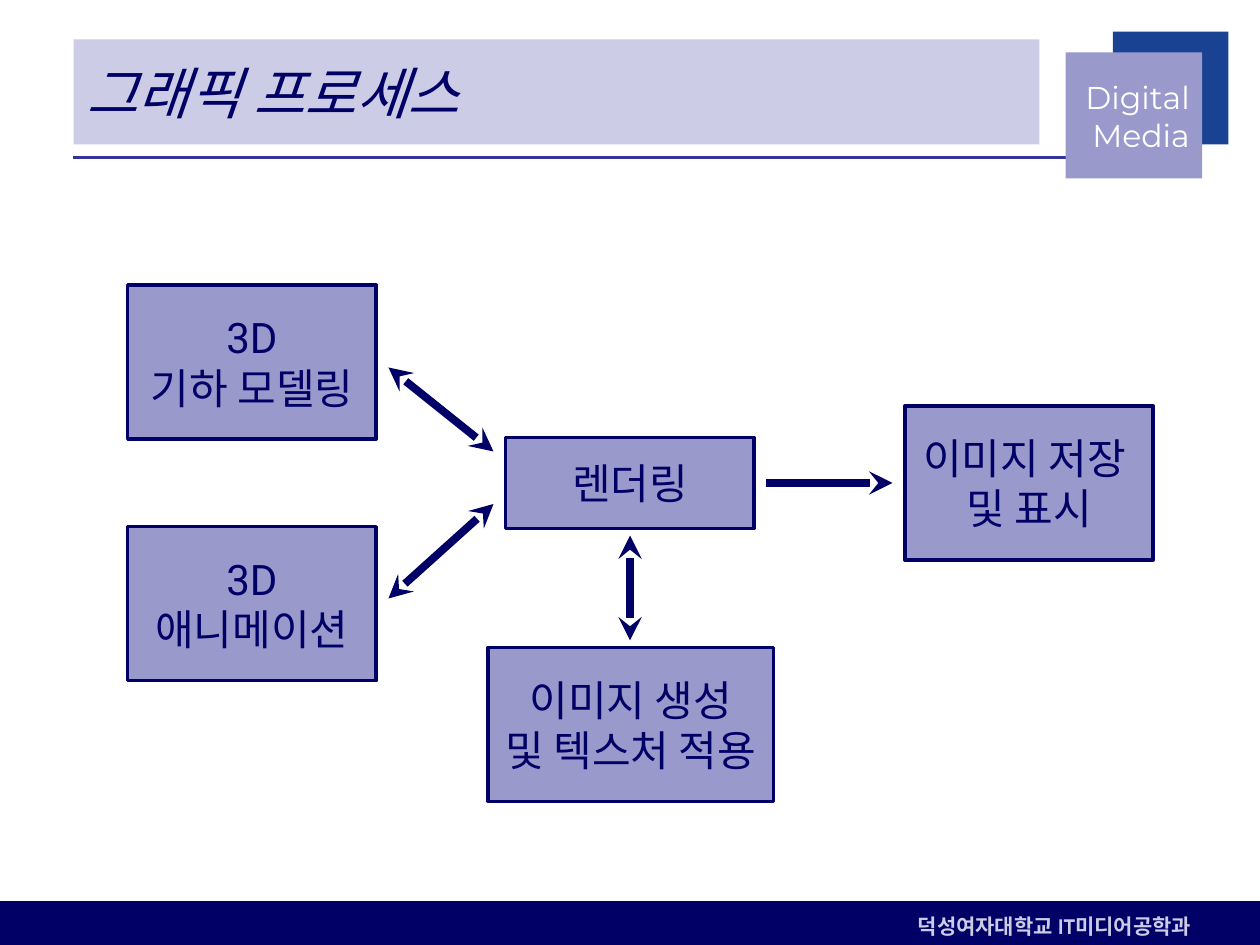
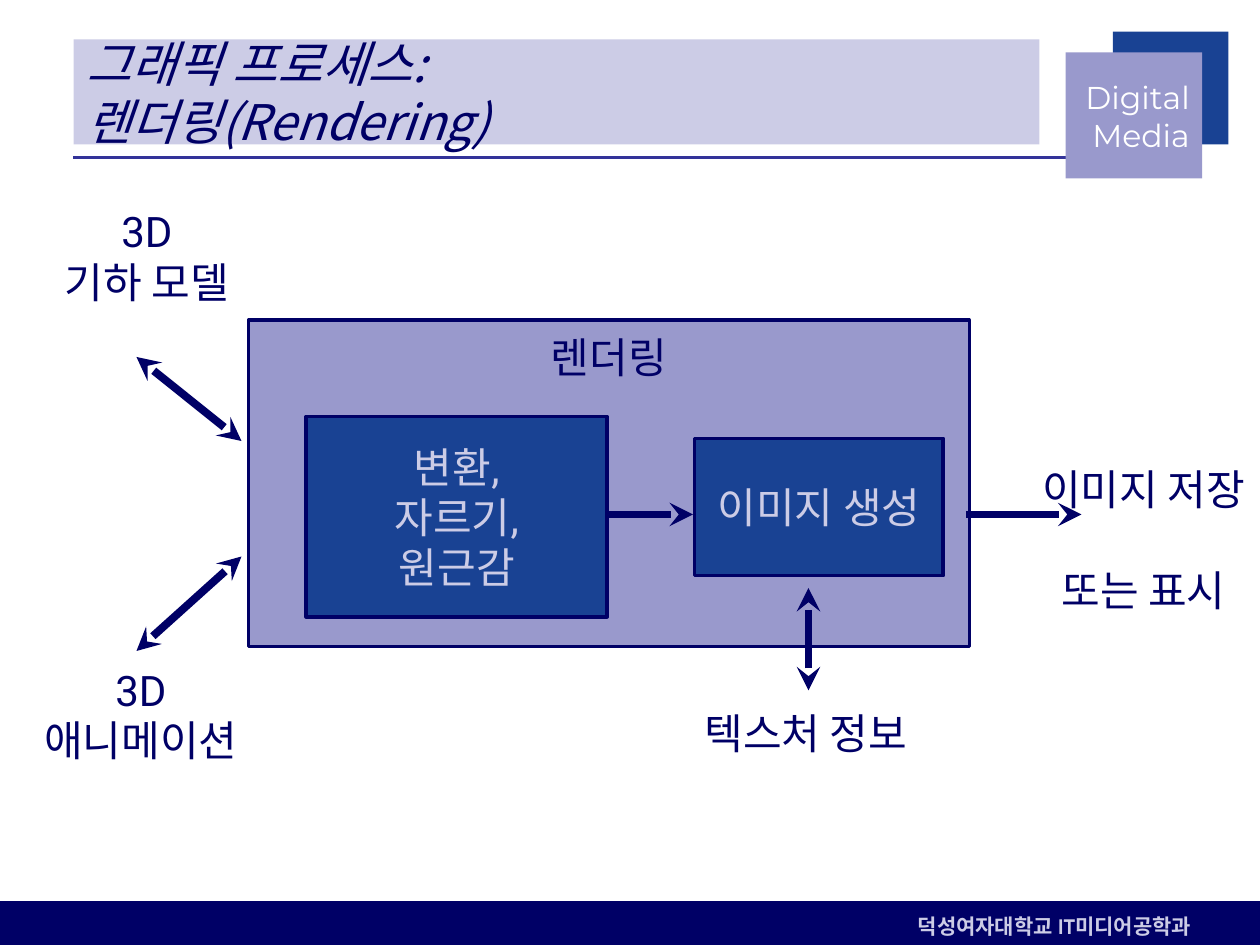
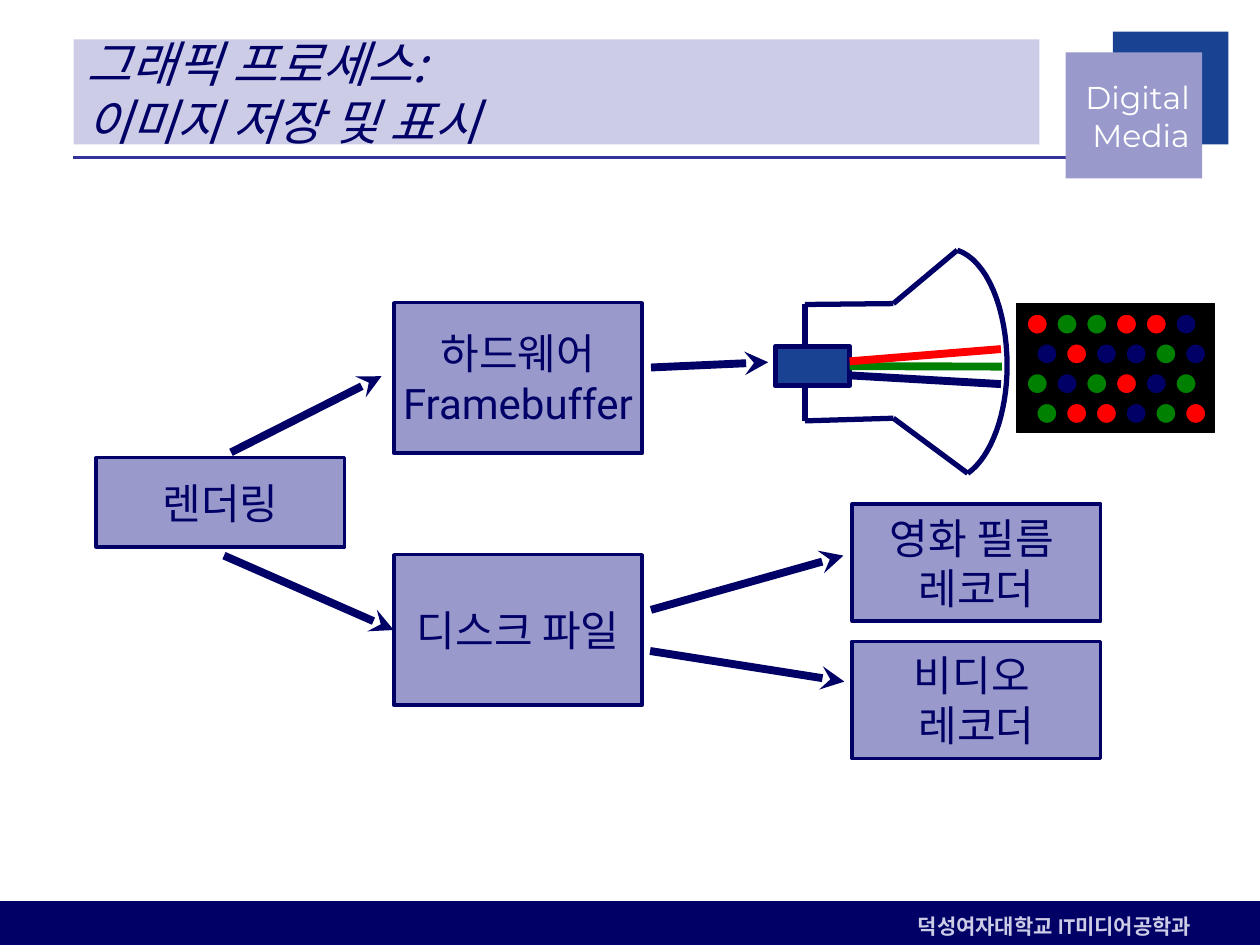
from dataclasses import dataclass
from typing import Any

from lxml import etree
from pptx import Presentation
from pptx.dml.color import RGBColor
from pptx.enum import shapes, text
from pptx.oxml import ns
from pptx.util import Pt

NAVY = RGBColor(0x00, 0x00, 0x66)
INDIGO = RGBColor(0x33, 0x33, 0x99)
BLUE = RGBColor(0x19, 0x42, 0x93)
LAVENDER = RGBColor(0x99, 0x99, 0xCC)
PALE = RGBColor(0xCC, 0xCC, 0xE6)
WHITE = RGBColor(0xFF, 0xFF, 0xFF)
BLACK = RGBColor(0x00, 0x00, 0x00)
RED = RGBColor(0xFF, 0x00, 0x00)
GREEN = RGBColor(0x00, 0x80, 0x00)

BODY_FONT = "Roboto"
KOREAN_FONT = "Noto Sans CJK KR"
LINE_PITCH = 1.2
RECT, OVAL = shapes.MSO_SHAPE.RECTANGLE, shapes.MSO_SHAPE.OVAL
LEFT, CENTER, RIGHT = text.PP_ALIGN.LEFT, text.PP_ALIGN.CENTER, text.PP_ALIGN.RIGHT
TOP, MIDDLE = text.MSO_ANCHOR.TOP, text.MSO_ANCHOR.MIDDLE


def write(frame, paragraphs, size=24, color=NAVY, font=BODY_FONT, align=CENTER,
          anchor=MIDDLE, wrap=False, gap=0, bold=None, italic=None):
    """Fill a text frame; a newline inside a paragraph is a line break."""
    frame.auto_size = text.MSO_AUTO_SIZE.NONE
    frame.word_wrap = wrap
    frame.vertical_anchor = anchor
    for number, content in enumerate(paragraphs):
        para = frame.add_paragraph() if number else frame.paragraphs[0]
        para.alignment = align
        para.line_spacing = Pt(round(size * LINE_PITCH, 2))
        if number and gap:
            para.space_before = Pt(gap)
        for row, line in enumerate(content.split("\n")):
            if row:
                para.add_line_break()
            span = para.add_run()
            span.text = line
            span.font.size = Pt(size)
            span.font.bold, span.font.italic = bold, italic
            span.font.color.rgb = color
            span.font.name = font
            east_asian = etree.SubElement(span._r.get_or_add_rPr(), ns.qn("a:ea"))
            east_asian.set("typeface", KOREAN_FONT)


@dataclass
class Region:
    """Part of a page; everything in it is placed from its top left corner."""
    page: Any
    left: float = 0
    top: float = 0

    def point(self, x, y):
        return Pt(self.left + x), Pt(self.top + y)

    def shape(self, x, y, width, height, fill, line=None, weight=2, kind=RECT):
        box = self.page.shapes.add_shape(kind, *self.point(x, y), Pt(width), Pt(height))
        box.shadow.inherit = False
        box.fill.solid()
        box.fill.fore_color.rgb = fill
        if line is None:
            box.line.fill.background()
        else:
            box.line.color.rgb = line
            box.line.width = Pt(weight)
        return box

    def node(self, x, y, width, height, *paragraphs, fill=LAVENDER, color=NAVY, anchor=MIDDLE):
        box = self.shape(x, y, width, height, fill, NAVY)
        write(box.text_frame, paragraphs, color=color, anchor=anchor)
        return box

    def label(self, x, y, width, height, *paragraphs, **style):
        box = self.page.shapes.add_textbox(*self.point(x, y), Pt(width), Pt(height))
        write(box.text_frame, paragraphs, **{"anchor": TOP, **style})

    def line(self, start, end, color=NAVY, weight=4.5):
        link = self.page.shapes.add_connector(
            shapes.MSO_CONNECTOR.STRAIGHT, *self.point(*start), *self.point(*end))
        link.line.color.rgb = color
        link.line.width = Pt(weight)
        etree.SubElement(link._element.spPr, ns.qn("a:effectLst"))
        return link

    def arrow(self, start, end, both=False):
        link = self.line(start, end)
        outline = link.line._get_or_add_ln()
        for tag in ("a:headEnd", "a:tailEnd") if both else ("a:tailEnd",):
            etree.SubElement(outline, ns.qn(tag)).set("type", "stealth")
        return link


def add_page(deck, title, title_size):
    """Title-only page with the shared bands, emblem and footer."""
    page = deck.slides.add_slide(deck.slide_layouts[5])
    frame = Region(page)

    # Title band
    heading = page.shapes.title
    heading.left, heading.top, heading.width, heading.height = Pt(42), Pt(22.5), Pt(552), Pt(60)
    heading.fill.solid()
    heading.fill.fore_color.rgb = PALE
    write(heading.text_frame, [title], title_size, font=KOREAN_FONT, align=LEFT,
          wrap=True, italic=True)
    frame.line((42, 90), (612, 90), INDIGO, 2.25)

    # Emblem
    frame.shape(636, 18, 66, 64.5, BLUE)
    frame.shape(609, 30, 78, 72, LAVENDER)
    frame.label(606, 42, 81, 48, "Digital\nMedia", size=18, color=WHITE,
                font="Montserrat", align=RIGHT, anchor=MIDDLE)

    # Footer
    frame.shape(0, 515, 720, 25, NAVY)
    credit = frame.shape(498, 518.5, 222, 21.5, NAVY)
    write(credit.text_frame, ["덕성여자대학교 IT미디어공학과"], 12, PALE, "Cabin", LEFT, bold=True)
    credit.text_frame.margin_left = Pt(26.5)
    return page


def draw_process(region):
    """Overview of the graphics process."""
    region.node(0, 0, 142, 88, "3D", "기하 모델링")
    region.node(0, 138, 142, 88, "3D", "애니메이션")
    region.node(216, 87, 142, 52, "렌더링")
    region.node(444, 69, 142, 88, "이미지 저장 \n및 표시")
    region.node(206, 207, 163, 88, "이미지 생성\n및 텍스처 적용")
    region.arrow((149, 47), (209, 95), both=True)
    region.arrow((149, 179), (209, 125), both=True)
    region.arrow((365, 113), (437, 113))
    region.arrow((287, 143), (287, 203), both=True)


def draw_rendering(region):
    """Steps inside rendering, with inputs and outputs around them."""
    rendering = region.node(130, 69, 412, 186.5, "렌더링", anchor=TOP)
    rendering.text_frame.margin_top = Pt(6.5)
    region.node(163, 124, 172, 114.5, "변환,", "자르기,", "원근감", fill=BLUE, color=PALE)
    region.node(385, 136.5, 142, 78.5, "이미지 생성", fill=BLUE, color=PALE)

    # Inputs and outputs
    region.label(12.5, 0, 119, 66, "3D", "기하 모델")
    region.label(0, 262, 137, 66, "3D", "애니메이션")
    region.label(377, 287, 143, 37, "텍스처 정보")
    region.label(575, 147.5, 133, 94, "이미지 저장", "또는 표시", gap=28.8)

    region.arrow((66, 90), (126, 138), both=True)
    region.arrow((66, 258), (126, 204), both=True)
    region.arrow((336, 180), (384, 180))
    region.arrow((540, 180), (606, 180))
    region.arrow((450, 280.5), (450, 222), both=True)


def draw_outputs(region):
    """Paths from rendering to display and recorders."""
    region.node(170, 0, 142, 86, "하드웨어", "Framebuffer")
    disk = region.node(170, 144, 142, 86, "디스크 파일")
    region.node(0, 88.5, 142, 51, "렌더링")
    region.node(432, 115, 142, 67, "영화 필름 \n레코더")
    region.node(432, 193.5, 142, 67, "비디오 \n레코더")
    region.arrow((77, 85.5), (163, 42))
    region.arrow((317, 37), (384, 34))
    region.arrow((73, 144.5), (170, 187)).end_connect(disk, 1)
    region.arrow((317, 175.5), (427, 144.5))
    region.arrow((316.5, 199), (427.5, 216.5))


def bezier(p0, p1, p2, p3, steps=16):
    """Points along a cubic curve, without its start."""
    for step in range(1, steps + 1):
        t = step / steps
        weights = ((1 - t) ** 3, 3 * t * (1 - t) ** 2, 3 * t * t * (1 - t), t ** 3)
        yield tuple(sum(w * p[axis] for w, p in zip(weights, (p0, p1, p2, p3)))
                    for axis in (0, 1))


def draw_tube(region):
    """Cathode ray tube with its three beams."""
    # Glass shell
    upper = [(17, 31), (67.5, 30.5), (104, 0)]
    lower = [(17, 97.5), (67.5, 96), (110, 127.5)]
    region.line(upper[0], lower[0], weight=3)
    for side in (upper, lower):
        for start, end in zip(side, side[1:]):
            region.line(start, end, weight=3)

    # Curved screen
    bulge = (132.5, 66)
    curve = [*bezier(upper[-1], (121, 5.5), (132.5, 33.5), bulge),
             *bezier(bulge, (132.5, 93.5), (123.5, 118), lower[-1])]
    builder = region.page.shapes.build_freeform(*region.point(*upper[-1]))
    builder.add_line_segments([region.point(*spot) for spot in curve], close=False)
    screen = builder.convert_to_shape()
    screen.shadow.inherit = False
    screen.fill.background()
    screen.line.color.rgb = NAVY
    screen.line.width = Pt(3)

    # Gun and beams
    gun = region.shape(0, 55, 42.5, 22.5, BLUE, NAVY, 3)
    region.line((42.5, 66.25), (129.5, 66.5), GREEN).begin_connect(gun, 3)
    region.line((42.5, 63.5), (129, 56.5), RED)
    region.line((42.5, 71.5), (129, 76.5), NAVY)


def draw_phosphors(region):
    """Staggered grid of phosphor dots."""
    region.shape(0, 0, 113, 73.5, BLACK, BLACK, 0.75)
    colors = {"R": RED, "G": GREEN, "B": NAVY}
    for row, pattern in enumerate(("RGGRRB", "BRBBGB", "GBGRBG", "GRRBGR")):
        indent = 6 + row % 2 * 5.5
        for column, key in enumerate(pattern):
            region.shape(indent + column * 17, 6 + row * 17, 11.5, 11.5,
                         colors[key], BLACK, 0.75, OVAL)


def main():
    deck = Presentation()
    deck.slide_width, deck.slide_height = Pt(720), Pt(540)

    draw_process(Region(add_page(deck, "그래픽 프로세스", 32), 73, 163))
    draw_rendering(Region(add_page(deck, "그래픽 프로세스:\n렌더링(Rendering)", 28), 12, 114))

    page = add_page(deck, "그래픽 프로세스:\n이미지 저장 및 표시", 28)
    draw_outputs(Region(page, 55, 173))
    draw_tube(Region(page, 443, 143))
    draw_phosphors(Region(page, 581, 173.5))

    deck.save("out.pptx")


if __name__ == "__main__":
    main()
